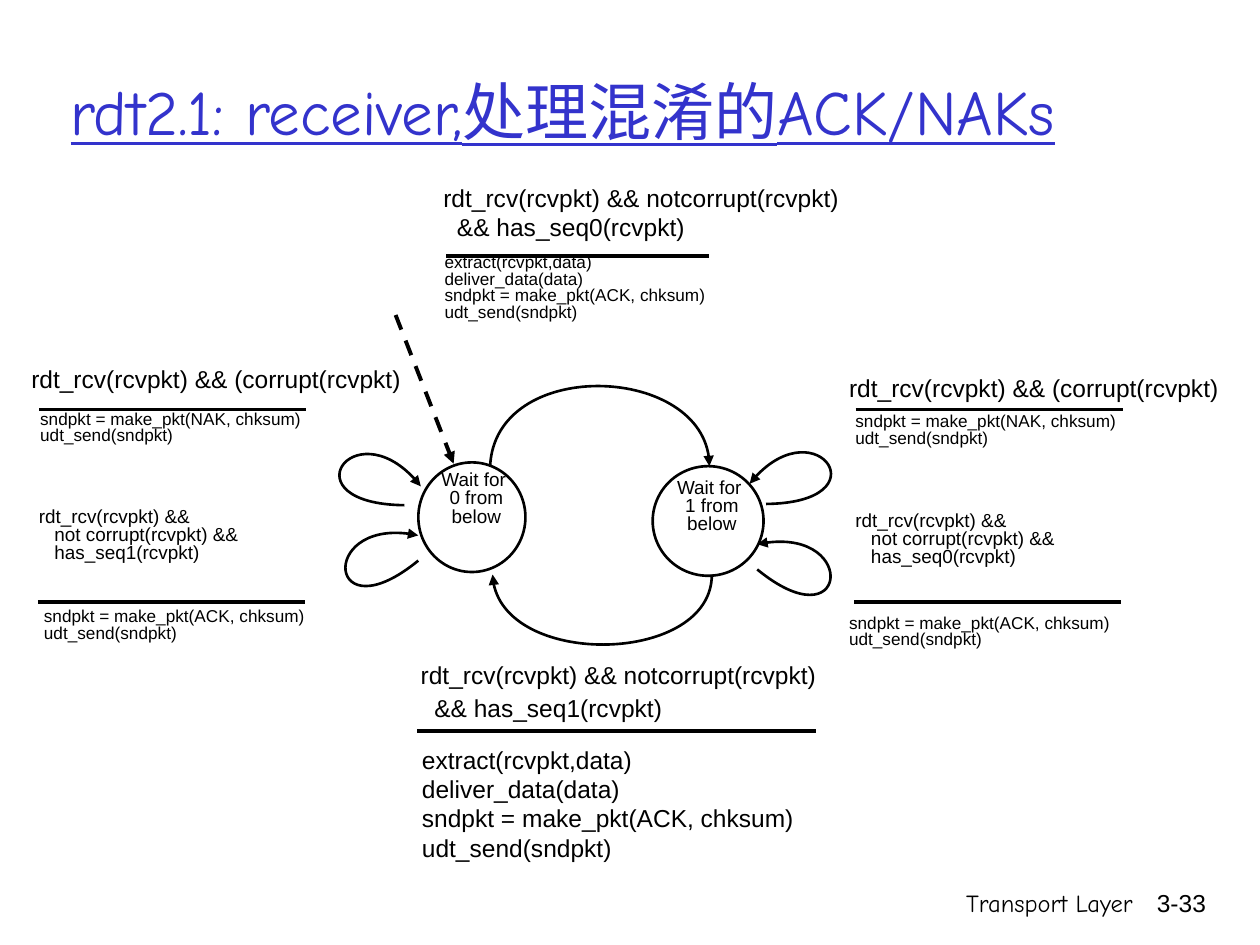
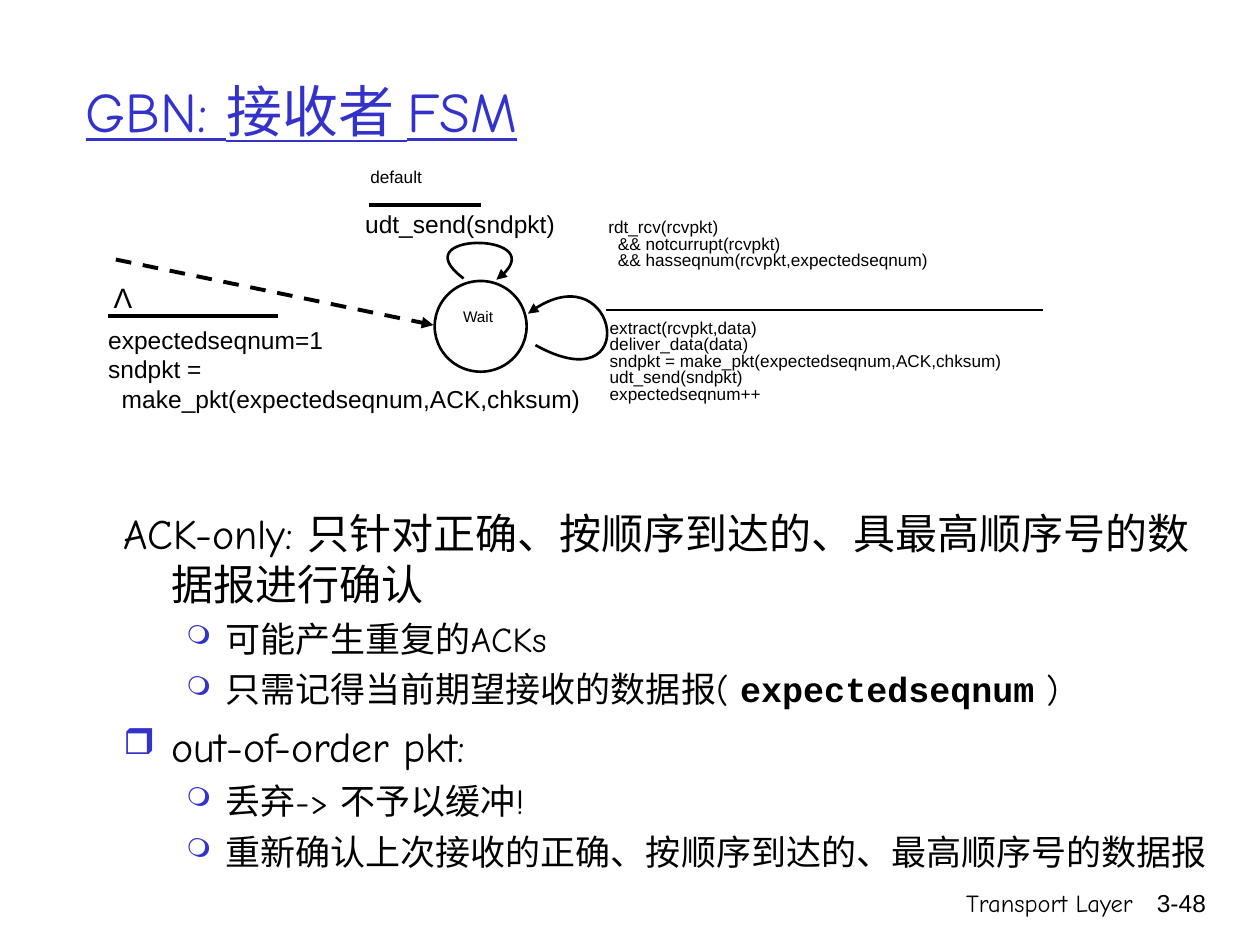
from lxml.etree import SubElement
from pptx import Presentation
from pptx.dml.color import RGBColor
from pptx.enum.dml import MSO_LINE
from pptx.enum.shapes import MSO_CONNECTOR, MSO_SHAPE
from pptx.enum.text import MSO_ANCHOR, MSO_AUTO_SIZE, PP_ALIGN
from pptx.oxml.ns import qn
from pptx.util import Inches, Pt

LEFT, MID, RIGHT = PP_ALIGN.LEFT, PP_ALIGN.CENTER, PP_ALIGN.RIGHT
CENTER = MSO_ANCHOR.MIDDLE
FIXED = MSO_AUTO_SIZE.NONE
DASH = MSO_LINE.DASH
OVAL = MSO_SHAPE.OVAL
STRAIGHT = MSO_CONNECTOR.STRAIGHT

BLACK, WHITE, BLUE = "000000", "FFFFFF", "3333CC"
SANS, COMIC, MONO = "Arial", "Comic Neue", "Courier New"
THIN, THICK = 1.5, 2.25

# Label sizes; all but the large one are set tight
LARGE, COND, ACT, TINY = 14, 10.8, 9.8, 8.8


def color(code):
    return RGBColor.from_string(code)


def assign(item, values):
    for name, value in values.items():
        setattr(item, name, value)


class Deck:
    # Bullet by level: sign, size in percent, margin, hanging indent, space before
    bullets = [("❒", 85, 0.38, -0.38, 6), ("❍", 75, 0.81, -0.31, 5)]

    def __init__(self):
        self.prs = Presentation()
        assign(self.prs, {"slide_width": Inches(10), "slide_height": Inches(7.5)})
        self.slide = None

    def open(self, title, left, width, size, number):
        """Start a slide with its title and footer."""
        self.slide = self.prs.slides.add_slide(self.prs.slide_layouts[5])
        head = self.slide.shapes.title
        assign(head, {"left": Inches(left), "top": Inches(0.25),
                      "width": Inches(width), "height": Inches(1.25)})
        assign(head.text_frame, {"word_wrap": True, "auto_size": FIXED,
                                 "vertical_anchor": CENTER})
        para = head.text_frame.paragraphs[0]
        para.alignment = LEFT
        self.run(para, title, size, COMIC, BLUE, underline=True)
        self.text(5.92, 7, 3.17, 0.5, "Transport Layer", LARGE, RIGHT, COMIC)
        self.text(8.93, 7, 0.74, 0.5, number, LARGE, RIGHT)

    def run(self, para, words, size, face=SANS, ink=BLACK, **more):
        part = para.add_run()
        part.text = words
        assign(part.font, {"size": Pt(size), "name": face, **more})
        part.font.color.rgb = color(ink)

    def frame(self, x, y, w, h, wrap=True):
        box = self.slide.shapes.add_textbox(*map(Inches, (x, y, w, h)))
        box.text_frame.word_wrap = wrap
        return box.text_frame

    def text(self, x, y, w, h, words, size, align=LEFT, face=SANS, wrap=True, gap=0):
        """Write one paragraph a line, with gap points between them."""
        frame = self.frame(x, y, w, h, wrap)
        for i, line in enumerate(words.split("\n")):
            para = frame.add_paragraph() if i else frame.paragraphs[0]
            assign(para, {"alignment": align,
                          "line_spacing": 0.8 if size < LARGE else 1.0,
                          "space_before": Pt(gap if i else 0)})
            self.run(para, line, size, face)

    def outline(self, x, y, w, h, items):
        """Write (level, bullet shown, size, runs) items as a list."""
        frame = self.frame(x, y, w, h)
        for i, (level, shown, size, runs) in enumerate(items):
            para = frame.add_paragraph() if i else frame.paragraphs[0]
            sign, scale, margin, indent, space = self.bullets[level]
            assign(para, {"level": level, "space_before": Pt(space if i else 0)})
            props = para._p.get_or_add_pPr()
            props.set("marL", str(Inches(margin)))
            props.set("indent", str(Inches(indent)))
            if shown:
                ink = SubElement(props, qn("a:buClr"))
                SubElement(ink, qn("a:srgbClr"), val=BLUE)
                SubElement(props, qn("a:buSzPct"), val=str(scale * 1000))
                SubElement(props, qn("a:buChar"), char=sign)
            for words, face, bold in runs:
                self.run(para, words, size, face, bold=bold)

    def stroke(self, shape, width, dash=None, arrow=False):
        shape.line.color.rgb = color(BLACK)
        assign(shape.line, {"width": Pt(width), "dash_style": dash})
        if arrow:
            SubElement(shape.line._get_or_add_ln(), qn("a:tailEnd"), type="triangle")

    def line(self, x1, y1, x2, y2, width=THICK, **look):
        link = self.slide.shapes.add_connector(
            STRAIGHT, *map(Inches, (x1, y1, x2, y2)))
        self.stroke(link, width, **look)
        SubElement(link.element.spPr, qn("a:effectLst"))

    def rule(self, x, y, length, width=THICK):
        self.line(x, y, x + length, y, width)

    def state(self, x, y, w, h):
        ring = self.slide.shapes.add_shape(OVAL, *map(Inches, (x, y, w, h)))
        ring.shadow.inherit = False
        ring.fill.solid()
        ring.fill.fore_color.rgb = color(WHITE)
        self.stroke(ring, THIN)

    def curve(self, *points):
        """Draw an arrow along one Bezier curve: start, two handles, end."""
        start, *rest = [tuple(map(Inches, point)) for point in points]
        build = self.slide.shapes.build_freeform(*start)
        build.add_line_segments(rest, close=False)
        shape = build.convert_to_shape()
        legs = list(shape.element.iter(qn("a:lnTo")))
        track = legs[0].getparent()
        bend = SubElement(track, qn("a:cubicBezTo"))
        for leg in legs:
            bend.append(leg[0])
            track.remove(leg)
        shape.shadow.inherit = False
        shape.fill.background()
        self.stroke(shape, THIN, arrow=True)


SEND = "udt_send(sndpkt)"
REPLY = "sndpkt = make_pkt({}, chksum)\n" + SEND
TAKE = "extract(rcvpkt,data)\ndeliver_data(data)\n"
GOOD = "rdt_rcv(rcvpkt) && notcorrupt(rcvpkt)\n  && has_seq{}(rcvpkt)"
BAD = "rdt_rcv(rcvpkt) && (corrupt(rcvpkt)"
AGAIN = "rdt_rcv(rcvpkt) &&\n   not corrupt(rcvpkt) &&\n   has_seq{}(rcvpkt)"


def receiver(deck):
    deck.open("rdt2.1: receiver,处理混淆的ACK/NAKs", 0.46, 9.1, 36, "3-33")

    # States
    deck.state(3.32, 3.67, 0.85, 0.87)
    deck.state(5.18, 3.7, 0.88, 0.87)
    for x, y, seq in [(3.34, 3.7, 0), (5.21, 3.76, 1)]:
        deck.text(x, y, 0.88, 0.67, f"Wait for \n{seq} from below", COND, MID)

    # Start arrow, moves between states and loops
    deck.line(3.14, 2.5, 3.6, 3.68, dash=DASH, arrow=True)
    for points in [
        [(3.89, 3.7), (3.93, 2.84), (5.63, 2.89), (5.63, 3.7)],
        [(5.65, 4.56), (5.65, 5.27), (3.94, 5.31), (3.91, 4.56)],
        [(6.08, 4), (7.01, 3.99), (6.46, 3.2), (5.95, 3.84)],
        [(6.01, 4.52), (6.73, 5.11), (6.82, 4.15), (6.01, 4.32)],
        [(3.32, 4.45), (2.6, 5.04), (2.52, 4.08), (3.32, 4.25)],
        [(3.21, 4.01), (2.28, 4), (2.83, 3.21), (3.34, 3.86)],
    ]:
        deck.curve(*points)

    # Labels of the moves, above and below
    ack = REPLY.format("ACK")
    deck.text(3.42, 1.4, 4.35, 0.63, GOOD.format(0), LARGE)
    deck.rule(3.54, 2.03, 2.09)
    deck.text(3.43, 1.98, 3.8, 0.77, TAKE + ack, ACT)
    deck.text(3.24, 5.19, 3.92, 0.62, GOOD.format(1), LARGE, gap=2)
    deck.rule(3.31, 5.8, 3.17)
    deck.text(3.25, 5.86, 4.21, 1.09, TAKE + ack, LARGE)

    # Labels of the loops, left and right: (x, y) of bad, nak, again, ack
    for seq, line, bad, nak, again, reply in [
        (1, 0.3, (0.15, 2.84), (0.22, 3.22), (0.21, 3.99), (0.25, 4.79)),
        (0, 6.78, (6.64, 2.91), (6.69, 3.24), (6.69, 4.02), (6.64, 4.84)),
    ]:
        deck.text(*bad, 3.14, 0.67, BAD, LARGE)
        deck.rule(line + 0.01, 3.25, 2.12)
        deck.text(*nak, 3.31, 0.45, REPLY.format("NAK"), ACT)
        deck.text(*again, 2.87, 0.67, AGAIN.format(seq), COND)
        deck.rule(line, 4.78, 2.12)
        deck.text(*reply, 3.22, 0.45, ack, ACT)


def gbn(deck):
    deck.open("GBN: 接收者 FSM", 0.58, 8.5, 32, "3-48")

    # Rules for acknowledgements
    deck.outline(0.88, 3.98, 8.91, 3.12, [
        (0, False, 24, [("ACK-only: 只针对正确、按顺序到达的、具最高顺序号的数据报进行确认",
                         COMIC, False)]),
        (1, True, 20, [("可能产生重复的ACKs", COMIC, False)]),
        (1, True, 20, [("只需记得当前期望接收的数据报", MONO, False),
                       ("( ", COMIC, False),
                       ("expectedseqnum", MONO, True),
                       (" )", COMIC, False)]),
        (0, True, 24, [("out-of-order pkt:", COMIC, False)]),
        (1, True, 20, [("丢弃-> 不予以缓冲!", COMIC, False)]),
        (1, True, 20, [("重新确认上次接收的正确、按顺序到达的、最高顺序号的数据报",
                        COMIC, False)]),
    ])

    # State with start arrow and loops
    deck.state(3.45, 2.23, 0.73, 0.72)
    deck.text(3.36, 2.42, 0.87, 0.26, "Wait", TINY, MID)
    deck.line(0.92, 2.06, 3.44, 2.58, dash=DASH, arrow=True)
    deck.curve((4.25, 2.74), (5.1, 3.21), (4.9, 1.95), (4.19, 2.49))
    deck.curve((3.68, 2.21), (3.18, 1.84), (4.45, 1.84), (3.94, 2.22))

    # Default move
    deck.text(2.84, 1.3, 0.79, 0.27, "default", ACT)
    deck.rule(2.93, 1.63, 0.89)
    deck.text(2.8, 1.61, 1.77, 0.34, SEND, LARGE)

    # Expected packet
    deck.text(4.73, 1.7, 3.9, 0.62, "rdt_rcv(rcvpkt)\n  && notcurrupt(rcvpkt)\n"
              "  && hasseqnum(rcvpkt,expectedseqnum)", ACT)
    deck.rule(4.81, 2.46, 3.47, THIN)
    deck.text(4.74, 2.5, 4.72, 0.94,
              TAKE + "sndpkt = make_pkt(expectedseqnum,ACK,chksum)\n"
              + SEND + "\nexpectedseqnum++", ACT)

    # Start
    deck.text(0.8, 2.18, 0.35, 0.37, "Λ", 16, MID, wrap=False)
    deck.rule(0.86, 2.51, 1.35)
    deck.text(0.76, 2.53, 3.98, 1.07, "expectedseqnum=1\nsndpkt =\n"
              "  make_pkt(expectedseqnum,ACK,chksum)", LARGE)


def main():
    deck = Deck()
    receiver(deck)
    gbn(deck)
    deck.prs.save("out.pptx")


if __name__ == "__main__":
    main()
